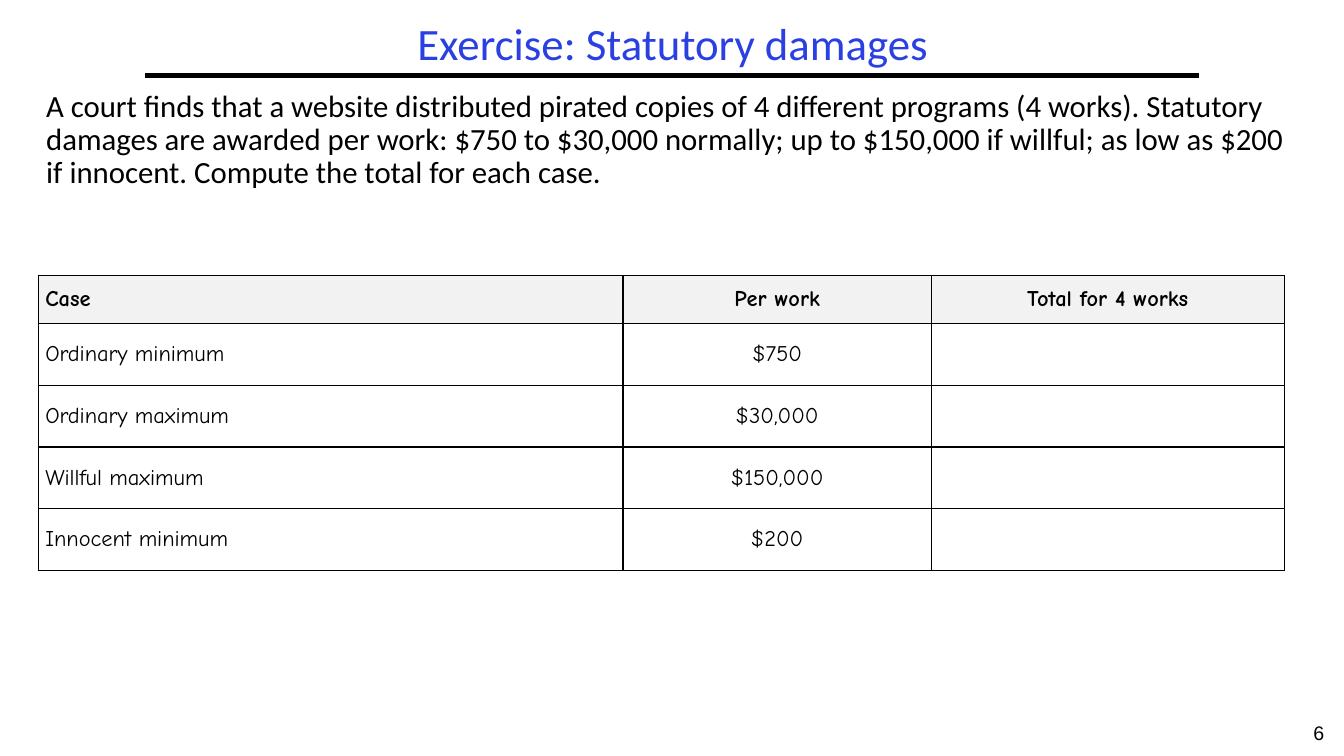
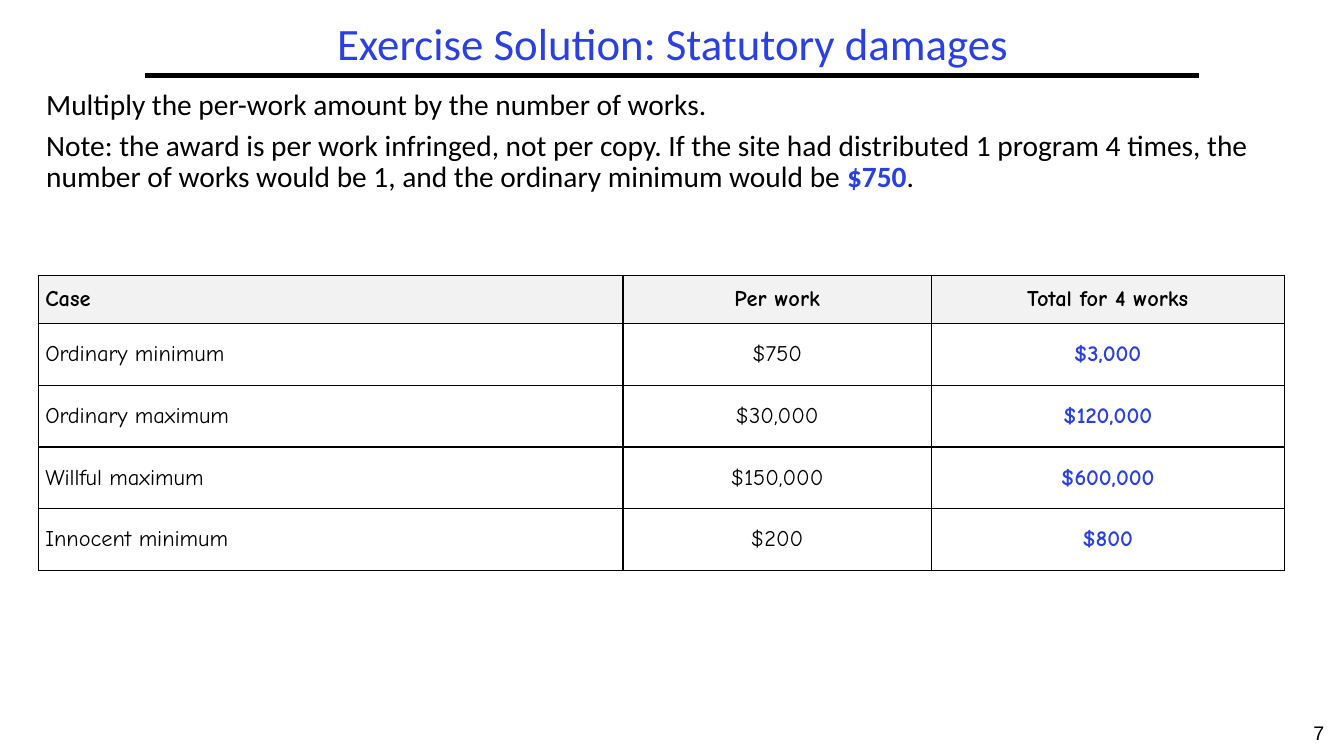
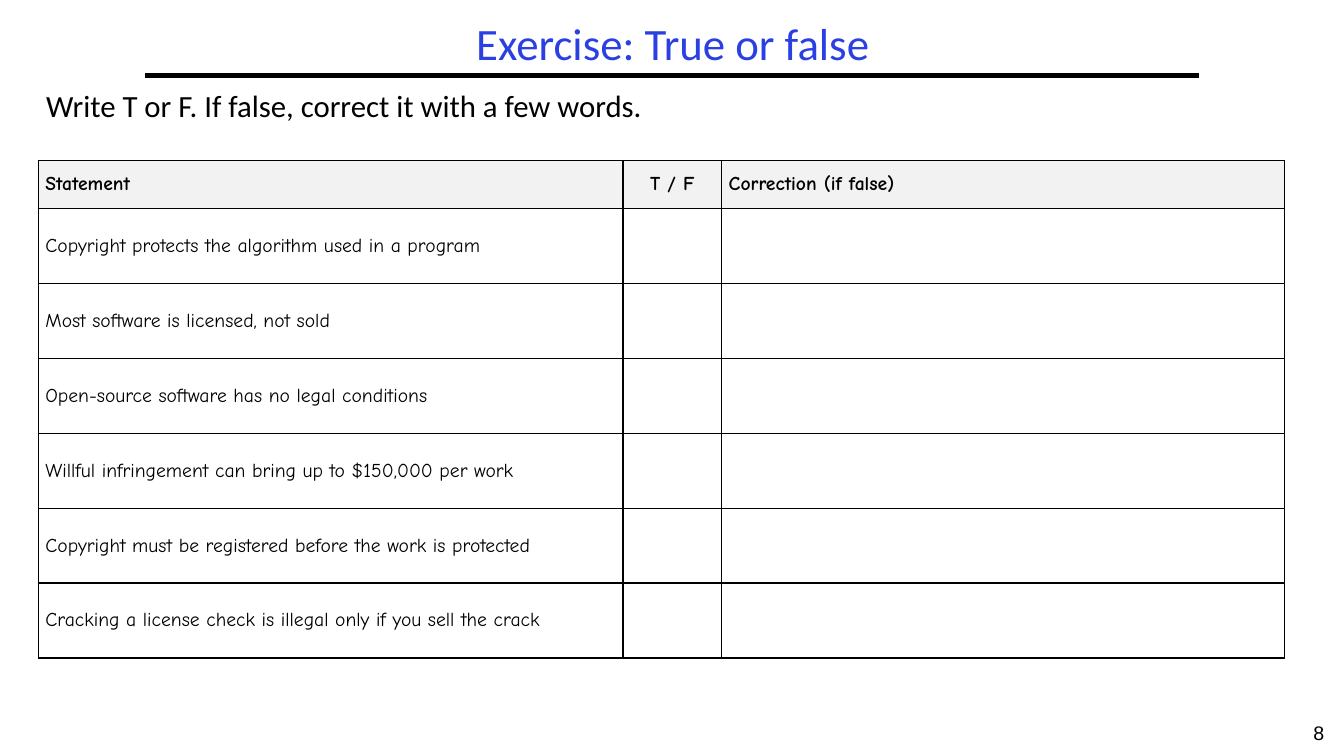
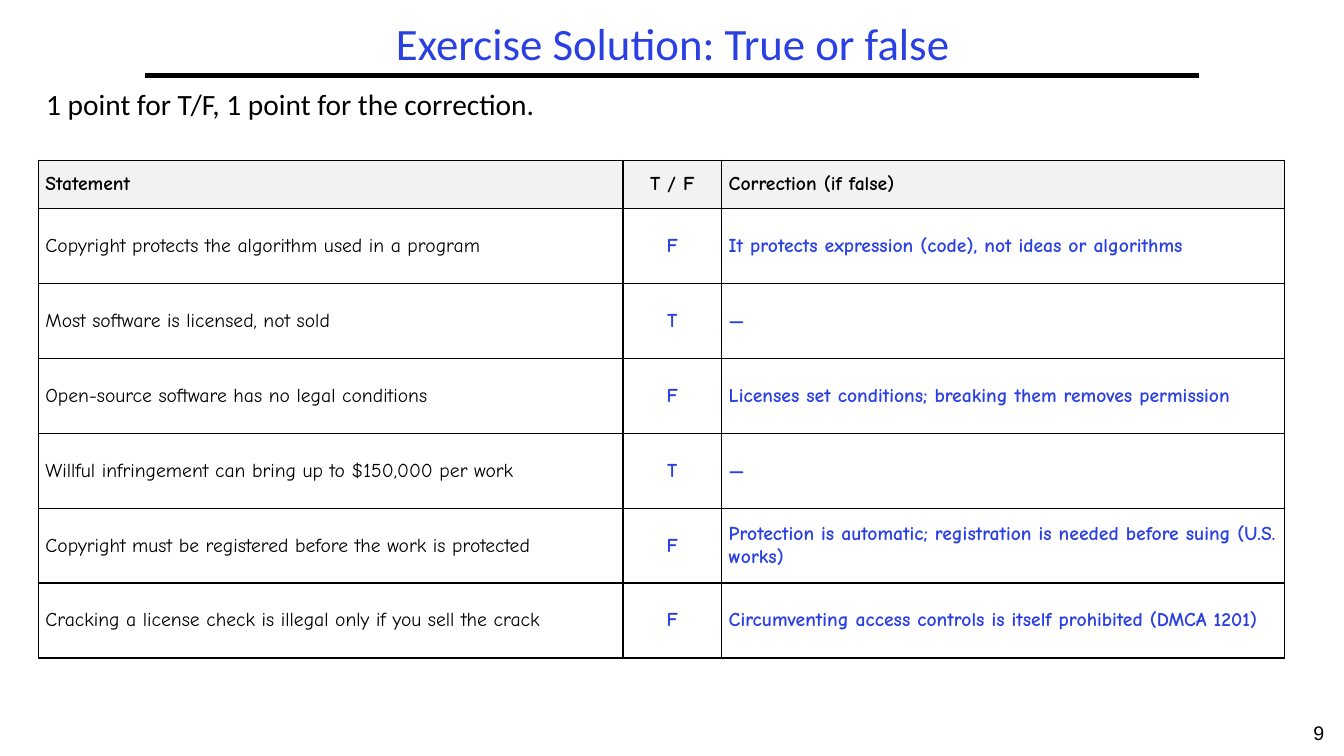
from dataclasses import dataclass

from lxml.etree import SubElement
from pptx import Presentation
from pptx.dml.color import RGBColor
from pptx.enum.shapes import MSO_CONNECTOR
from pptx.enum.text import MSO_ANCHOR, PP_ALIGN
from pptx.oxml.ns import qn
from pptx.util import Inches, Pt

LEFT, CENTER = PP_ALIGN.LEFT, PP_ALIGN.CENTER
WIDTH, HEIGHT = Inches(13.33), Inches(7.5)


@dataclass(frozen=True)
class Theme:
    ink: str = "000000"
    accent: str = "2A40E2"
    header_fill: str = "F2F2F2"
    text_font: str = "Calibri"
    table_font: str = "Comic Neue"
    number_font: str = "Arial"
    title_size: int = 32
    task_size: int = 22
    solution_size: int = 21
    number_size: int = 14
    line_spacing: float = 0.9
    paragraph_gap: int = 6
    rule_width: int = 3
    border_width: int = 1


THEME = Theme()

# All positions and lengths below are percentages of the slide's size.
MARGIN = 10.8
RULE_Y = 10
TITLE_TOP = 2.27
BODY_LEFT, BODY_TOP, BODY_WIDTH = 2.7, 11.33, 94.37
TABLE_LEFT = 2.85
HEADER_ROW = 6.4
NUMBER_LEFT, NUMBER_TOP = 96.25, 94.67


@dataclass(frozen=True)
class Exercise:
    name: str
    header: tuple
    rows: tuple
    aligns: tuple
    columns: tuple
    answer_column: int
    top: float
    row_height: float
    size: int


DAMAGES = Exercise(
    name="Statutory damages",
    header=("Case", "Per work", "Total for 4 works"),
    rows=(
        ("Ordinary minimum", "$750", "$3,000"),
        ("Ordinary maximum", "$30,000", "$120,000"),
        ("Willful maximum", "$150,000", "$600,000"),
        ("Innocent minimum", "$200", "$800"),
    ),
    aligns=(LEFT, CENTER, CENTER),
    columns=(43.5, 22.95, 26.25),
    answer_column=2, top=36.4, row_height=8.17, size=16,
)

TRUE_FALSE = Exercise(
    name="True or false",
    header=("Statement", "T / F", "Correction (if false)"),
    rows=(
        ("Copyright protects the algorithm used in a program", "F",
         "It protects expression (code), not ideas or algorithms"),
        ("Most software is licensed, not sold", "T", "—"),
        ("Open-source software has no legal conditions", "F",
         "Licenses set conditions; breaking them removes permission"),
        ("Willful infringement can bring up to $150,000 per work", "T", "—"),
        ("Copyright must be registered before the work is protected", "F",
         "Protection is automatic; registration is needed before suing (U.S. works)"),
        ("Cracking a license check is illegal only if you sell the crack", "F",
         "Circumventing access controls is itself prohibited (DMCA 1201)"),
    ),
    aligns=(LEFT, CENTER, LEFT),
    columns=(43.5, 7.35, 41.85),
    answer_column=1, top=21.2, row_height=9.91, size=14,
)


def across(percent):
    return round(WIDTH * percent / 100)


def down(percent):
    return round(HEIGHT * percent / 100)


def add_run(p, text, font, size, color=THEME.ink, bold=False):
    r = p.add_run()
    r.text = text
    r.font.name = font
    r.font.size = Pt(size)
    r.font.bold = bold
    r.font.color.rgb = RGBColor.from_string(color)


def add_box(slide, left, top, width, height, anchor=MSO_ANCHOR.TOP):
    sp = slide.shapes.add_textbox(across(left), down(top), across(width), down(height))
    tf = sp.text_frame
    tf.word_wrap = True
    tf.vertical_anchor = anchor
    return tf


def add_frame(slide, title, number):
    """Draw the title, the rule under it and the slide number."""
    rule = slide.shapes.add_connector(
        MSO_CONNECTOR.STRAIGHT,
        across(MARGIN), down(RULE_Y), across(100 - MARGIN), down(RULE_Y))
    rule.line.color.rgb = RGBColor.from_string(THEME.ink)
    rule.line.width = Pt(THEME.rule_width)
    SubElement(rule.element.spPr, qn("a:effectLst"))

    p = add_box(slide, NUMBER_LEFT, NUMBER_TOP,
                100 - NUMBER_LEFT, 100 - NUMBER_TOP).paragraphs[0]
    p.alignment = CENTER
    add_run(p, str(number), THEME.number_font, THEME.number_size)

    p = add_box(slide, MARGIN, TITLE_TOP, 78.54, RULE_Y - TITLE_TOP,
                MSO_ANCHOR.MIDDLE).paragraphs[0]
    p.alignment = CENTER
    p.line_spacing = THEME.line_spacing
    add_run(p, title, THEME.text_font, THEME.title_size, THEME.accent)


def add_body(slide, paragraphs, size, bottom):
    """Write paragraphs of runs; every second run is emphasised."""
    tf = add_box(slide, BODY_LEFT, BODY_TOP, BODY_WIDTH, bottom - BODY_TOP)
    for i, runs in enumerate(paragraphs):
        p = tf.add_paragraph() if i else tf.paragraphs[0]
        p.line_spacing = THEME.line_spacing
        if i:
            p.space_before = Pt(THEME.paragraph_gap)
        for j, text in enumerate(runs):
            strong = j % 2 == 1
            add_run(p, text, THEME.text_font, size,
                    THEME.accent if strong else THEME.ink, strong)


def set_borders(cell):
    tc_pr = cell._tc.get_or_add_tcPr()
    for side in ("lnL", "lnR", "lnT", "lnB"):
        ln = SubElement(tc_pr, qn(f"a:{side}"), w=str(Pt(THEME.border_width)))
        fill = SubElement(ln, qn("a:solidFill"))
        SubElement(fill, qn("a:srgbClr"), val=THEME.ink)


def fill_cell(cell, text, align, size, header, answer):
    cell.margin_left = cell.margin_right = Inches(0.07)
    cell.margin_top = cell.margin_bottom = Inches(0.03)
    cell.vertical_anchor = MSO_ANCHOR.MIDDLE
    set_borders(cell)
    if header:
        cell.fill.solid()
        cell.fill.fore_color.rgb = RGBColor.from_string(THEME.header_fill)
    else:
        cell.fill.background()
    p = cell.text_frame.paragraphs[0]
    p.alignment = align
    if text:
        add_run(p, text, THEME.table_font, size,
                THEME.accent if answer else THEME.ink, header or answer)


def add_exercise_table(slide, exercise, solved):
    rows = (exercise.header, *exercise.rows)
    heights = [HEADER_ROW] + [exercise.row_height] * len(exercise.rows)
    table = slide.shapes.add_table(
        len(rows), len(exercise.columns), across(TABLE_LEFT), down(exercise.top),
        across(sum(exercise.columns)), down(sum(heights))).table
    table.first_row = table.horz_banding = False
    for column, width in zip(table.columns, exercise.columns):
        column.width = across(width)
    for i, (row, height) in enumerate(zip(rows, heights)):
        table.rows[i].height = down(height)
        for j, text in enumerate(row):
            answer = i > 0 and j >= exercise.answer_column
            shown = text if solved or not answer else ""
            fill_cell(table.cell(i, j), shown, exercise.aligns[j],
                      exercise.size, i == 0, answer)


def main():
    prs = Presentation()
    prs.slide_width, prs.slide_height = WIDTH, HEIGHT
    blank = prs.slide_layouts[6]
    pages = (
        (DAMAGES, False, [[
            "A court finds that a website distributed pirated copies of 4 different "
            "programs (4 works). Statutory damages are awarded per work: $750 to "
            "$30,000 normally; up to $150,000 if willful; as low as $200 if innocent. "
            "Compute the total for each case."]]),
        (DAMAGES, True, [
            ["Multiply the per-work amount by the number of works."],
            ["Note: the award is per work infringed, not per copy. If the site had "
             "distributed 1 program 4 times, the number of works would be 1, and the "
             "ordinary minimum would be ", "$750", "."]]),
        (TRUE_FALSE, False, [["Write T or F. If false, correct it with a few words."]]),
        (TRUE_FALSE, True, [["1 point for T/F, 1 point for the correction."]]),
    )
    for number, (exercise, solved, paragraphs) in enumerate(pages, start=6):
        slide = prs.slides.add_slide(blank)
        prefix = "Exercise Solution" if solved else "Exercise"
        add_frame(slide, f"{prefix}: {exercise.name}", number)
        add_body(slide, paragraphs,
                 THEME.solution_size if solved else THEME.task_size, exercise.top)
        add_exercise_table(slide, exercise, solved)
    prs.save("out.pptx")


if __name__ == "__main__":
    main()
